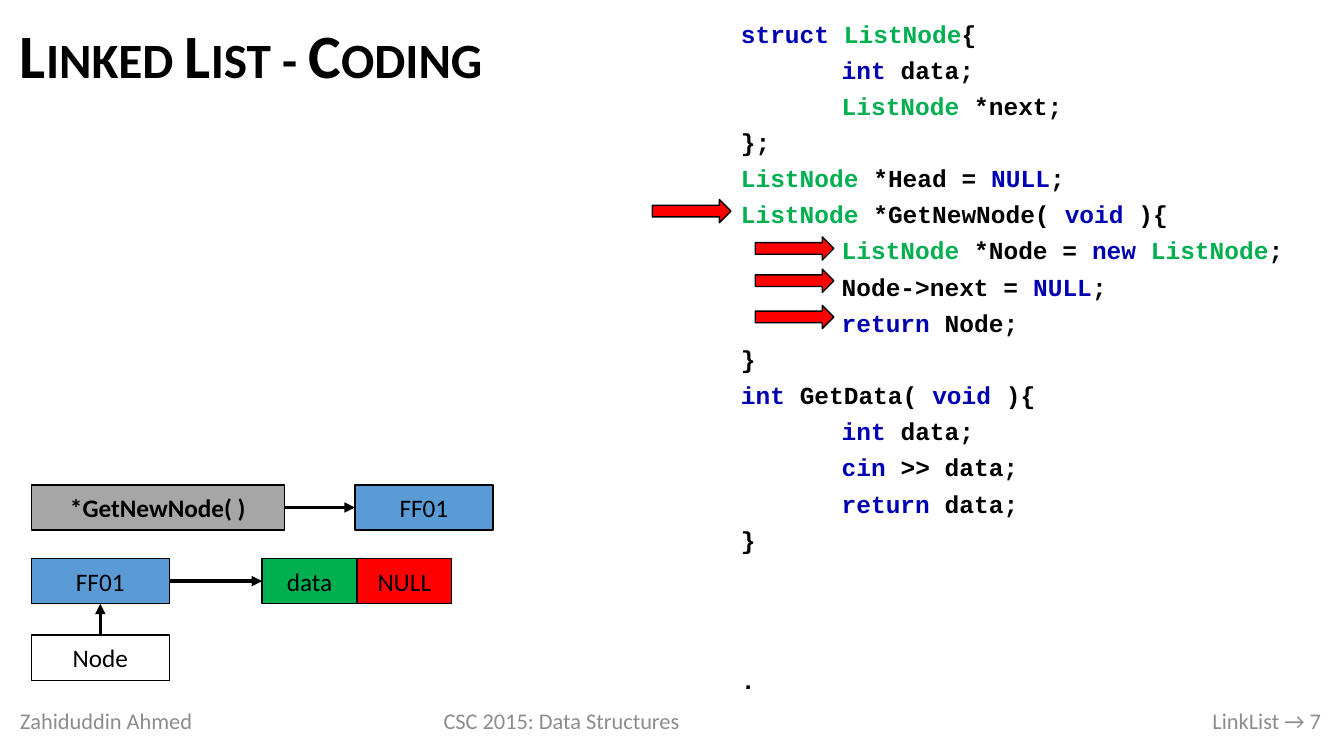
from dataclasses import dataclass
from itertools import groupby
from lxml.etree import SubElement
from pptx import Presentation
from pptx.dml.color import RGBColor
from pptx.enum.shapes import MSO_CONNECTOR, MSO_SHAPE
from pptx.enum.text import MSO_ANCHOR, PP_ALIGN
from pptx.oxml.ns import qn
from pptx.util import Inches, Pt


@dataclass(frozen=True)
class Theme:
    font: str = "Calibri"
    mono: str = "Courier New"
    black: str = "000000"
    white: str = "FFFFFF"
    muted: str = "8C8C8C"
    keyword: str = "0000B0"
    green: str = "00B050"
    red: str = "FF0000"
    blue: str = "5B9BD5"
    gray: str = "A6A6A6"
    title: float = 44
    code: float = 17.5
    label: float = 18
    footer: float = 16


T = Theme()
TITLE = "Linked List - Coding"
CODE = [
    "struct ListNode{",
    "\tint data;",
    "\tListNode *next;",
    "};",
    "ListNode *Head = NULL;",
    "ListNode *GetNewNode( void ){",
    "\tListNode *Node = new ListNode;",
    "\tNode->next = NULL;",
    "\treturn Node;",
    "}",
    "int GetData( void ){",
    "\tint data;",
    "\tcin >> data;",
    "\treturn data;",
    "}",
    ".",
]
KEYWORDS = "struct int NULL void new return cin".split()
WORD_COLORS = {**dict.fromkeys(KEYWORDS, T.keyword), "ListNode": T.green}
FOOTERS = [
    ("Zahiduddin Ahmed", 0.1, 2.41, PP_ALIGN.LEFT),
    ("CSC 2015: Data Structures", 3.89, 3.36, PP_ALIGN.CENTER),
    ("LinkList → 7", 7.71, 5.49, PP_ALIGN.RIGHT),
]
BOXES = {
    "call": ("*GetNewNode( )", 0.31, 4.81, 2.51, T.gray),
    "result": ("FF01", 3.52, 4.81, 1.37, T.blue),
    "address": ("FF01", 0.31, 5.54, 1.37, T.blue),
    "data": ("data", 2.6, 5.54, 0.94, T.green),
    "next": ("NULL", 3.54, 5.54, 0.94, T.red),
    "node": ("Node", 0.31, 6.3, 1.37, T.white),
}
BOX_H = 0.45
TOP, LEFT, BOTTOM, RIGHT = range(4)
LINKS = [
    ("call", RIGHT, "result", LEFT),
    ("address", RIGHT, "data", LEFT),
    ("node", TOP, "address", BOTTOM),
]
STEP_ARROWS = [(6.47, 1.98), (7.49, 2.35), (7.49, 2.67), (7.49, 3.03)]
LINE_SPACING, GAP, DOT_GAP = 0.85, 4, 78.5


def add_run(p, text, size=T.label, color=T.black, font=T.font, bold=False, small_caps=False):
    r = p.add_run()
    r.text = text
    r.font.size, r.font.name, r.font.bold = Pt(size), font, bold
    r.font.color.rgb = RGBColor.from_string(color)
    if small_caps:
        r.font._element.set("cap", "small")


def add_box(x, y, w, h, anchor=MSO_ANCHOR.MIDDLE):
    tf = s.shapes.add_textbox(*map(Inches, (x, y, w, h))).text_frame
    tf.word_wrap, tf.vertical_anchor = True, anchor
    return tf


def add_filled(kind, x, y, w, h, fill):
    sp = s.shapes.add_shape(kind, *map(Inches, (x, y, w, h)))
    sp.shadow.inherit = False
    sp.fill.solid()
    sp.fill.fore_color.rgb = RGBColor.from_string(fill)
    sp.line.color.rgb = RGBColor.from_string(T.black)
    sp.line.width = Pt(1)
    return sp


prs = Presentation()
prs.slide_width, prs.slide_height = Inches(13.33), Inches(7.5)
s = prs.slides.add_slide(prs.slide_layouts[6])

p = add_box(0.1, 0.11, 13.1, 0.95).paragraphs[0]
p.line_spacing = 0.9
add_run(p, TITLE, size=T.title, bold=True, small_caps=True)

tf = add_box(7.25, 0.18, 5.88, 6.77, MSO_ANCHOR.TOP)
for i, line in enumerate(CODE):
    p = tf.add_paragraph() if i else tf.paragraphs[0]
    p.alignment, p.line_spacing = PP_ALIGN.JUSTIFY, LINE_SPACING
    p.space_before = Pt(DOT_GAP if line == "." else GAP)
    p.space_after = Pt(GAP)
    tabs = SubElement(p._p.get_or_add_pPr(), qn("a:tabLst"))
    SubElement(tabs, qn("a:tab"), pos=str(Inches(1)), algn="l")
    for _, chars in groupby(line, str.isalnum):
        word = "".join(chars)
        add_run(p, word, size=T.code, font=T.mono, bold=True,
                color=WORD_COLORS.get(word, T.black))

for text, x, w, align in FOOTERS:
    p = add_box(x, 6.95, w, 0.4).paragraphs[0]
    p.alignment = align
    add_run(p, text, size=T.footer, color=T.muted)

boxes = {}
for name, (text, x, y, w, fill) in BOXES.items():
    boxes[name] = sp = add_filled(MSO_SHAPE.RECTANGLE, x, y, w, BOX_H, fill)
    sp.text_frame.vertical_anchor = MSO_ANCHOR.MIDDLE
    p = sp.text_frame.paragraphs[0]
    p.alignment = PP_ALIGN.CENTER
    add_run(p, text, bold=name == "call")

for start, start_side, end, end_side in LINKS:
    link = s.shapes.add_connector(MSO_CONNECTOR.STRAIGHT, 0, 0, 0, 0)
    link.begin_connect(boxes[start], start_side)
    link.end_connect(boxes[end], end_side)
    link.line.color.rgb = RGBColor.from_string(T.black)
    link.line.width = Pt(2.5)
    SubElement(link.line._get_or_add_ln(), qn("a:tailEnd"), type="triangle")
    SubElement(link._element.spPr, qn("a:effectLst"))

for x, y in STEP_ARROWS:
    add_filled(MSO_SHAPE.RIGHT_ARROW, x, y, 0.78, 0.23, T.red)

prs.save("out.pptx")
